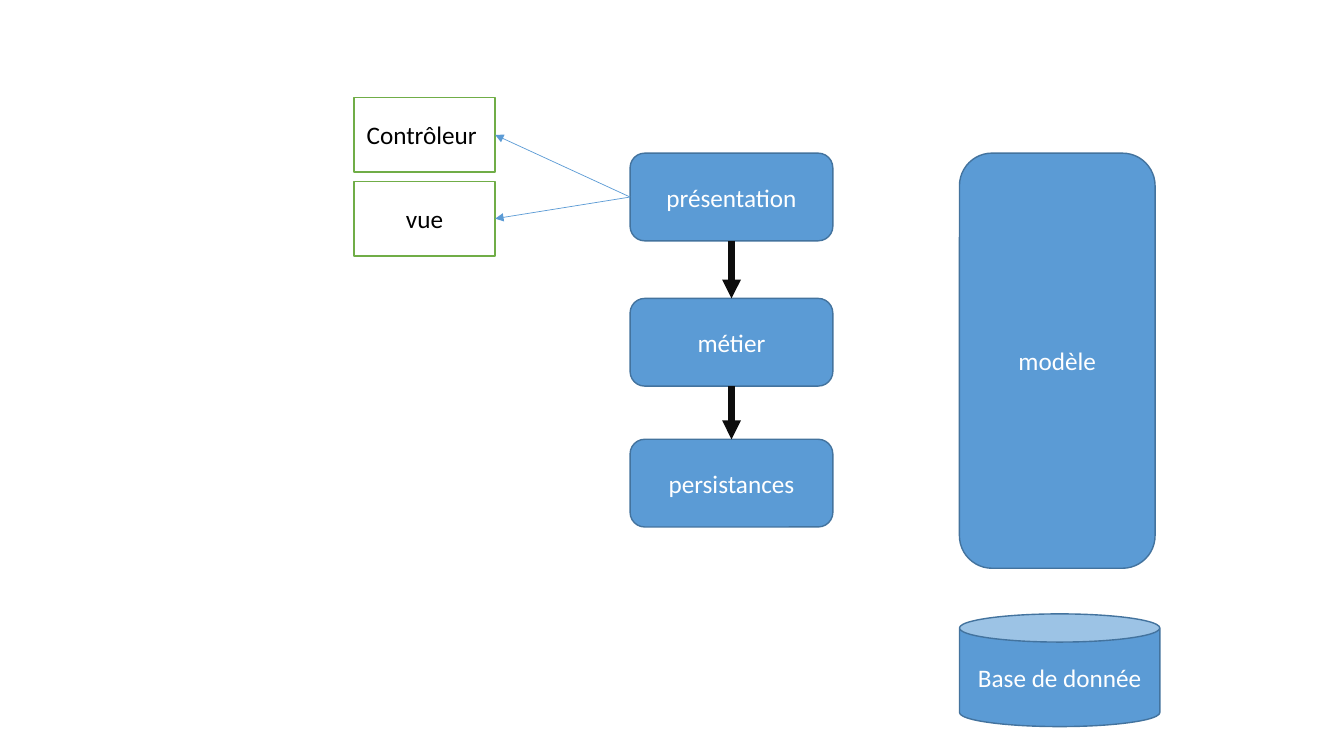
from lxml import etree
from pptx import Presentation
from pptx.dml.color import RGBColor
from pptx.enum.shapes import MSO_CONNECTOR, MSO_SHAPE
from pptx.enum.text import MSO_ANCHOR, PP_ALIGN
from pptx.oxml.ns import qn
from pptx.util import Cm, Pt

ROUNDED, CAN, RECTANGLE = MSO_SHAPE.ROUNDED_RECTANGLE, MSO_SHAPE.CAN, MSO_SHAPE.RECTANGLE
STRAIGHT = MSO_CONNECTOR.STRAIGHT
MIDDLE, CENTER = MSO_ANCHOR.MIDDLE, PP_ALIGN.CENTER
TOP, LEFT, BOTTOM, RIGHT = range(4)

# Content: lengths in cm
SLIDE_SIZE = (33.87, 19.05)
LAYERS = [("présentation", 3.86), ("métier", 7.52), ("persistances", 11.07)]
LAYER_LEFT, LAYER_SIZE = 15.88, (5.11, 2.21)
VIEWS = [("Contrôleur ", 2.46), ("vue", 4.57)]
VIEW_LEFT, VIEW_SIZE = 8.92, (3.56, 1.88)
MODEL = ("modèle", (24.18, 3.86), (4.93, 10.46))
DATABASE = ("Base de donnée", (24.18, 15.47), (5.05, 2.84))


class Theme:
    font, size = "Calibri", Pt(18)
    outline_width = Pt(1)
    # fill, outline, text
    solid = ("5B9BD5", "43739E", "FFFFFF")
    outlined = ("FFFFFF", "70AD47", "000000")
    # colour, width
    thin_arrow = ("5B9BD5", Pt(0.5))
    thick_arrow = ("0D0D0D", Pt(4.5))


def add_box(page, kind, text, position, size, style):
    fill, outline, ink = (RGBColor.from_string(code) for code in style)
    box = page.shapes.add_shape(kind, *(Cm(length) for length in position + size))
    box.shadow.inherit = False
    box.fill.solid()
    box.fill.fore_color.rgb = fill
    box.line.color.rgb = outline
    box.line.width = Theme.outline_width
    frame = box.text_frame
    frame.word_wrap = True
    frame.vertical_anchor = MIDDLE
    para = frame.paragraphs[0]
    para.alignment = CENTER
    span = para.add_run()
    span.text = text
    span.font.name, span.font.size = Theme.font, Theme.size
    span.font.color.rgb = ink
    return box


def add_arrow(page, start, start_side, end, end_side, style):
    color, width = style
    arrow = page.shapes.add_connector(STRAIGHT, 0, 0, 0, 0)
    arrow.begin_connect(start, start_side)
    arrow.end_connect(end, end_side)
    arrow.line.color.rgb = RGBColor.from_string(color)
    arrow.line.width = width
    etree.SubElement(arrow.line._get_or_add_ln(), qn("a:tailEnd"), type="triangle")
    etree.SubElement(arrow._element.spPr, qn("a:effectLst"))


deck = Presentation()
deck.slide_width, deck.slide_height = (Cm(length) for length in SLIDE_SIZE)
page = deck.slides.add_slide(deck.slide_layouts[6])

# Model, application layers and database
add_box(page, ROUNDED, *MODEL, Theme.solid)
layers = [add_box(page, ROUNDED, text, (LAYER_LEFT, top), LAYER_SIZE, Theme.solid)
          for text, top in LAYERS]
add_box(page, CAN, *DATABASE, Theme.solid)

# Parts of the presentation layer
for text, top in VIEWS:
    view = add_box(page, RECTANGLE, text, (VIEW_LEFT, top), VIEW_SIZE, Theme.outlined)
    add_arrow(page, layers[0], LEFT, view, RIGHT, Theme.thin_arrow)

# Calls from each layer to the next
for upper, lower in zip(layers, layers[1:]):
    add_arrow(page, upper, BOTTOM, lower, TOP, Theme.thick_arrow)

deck.save("out.pptx")
